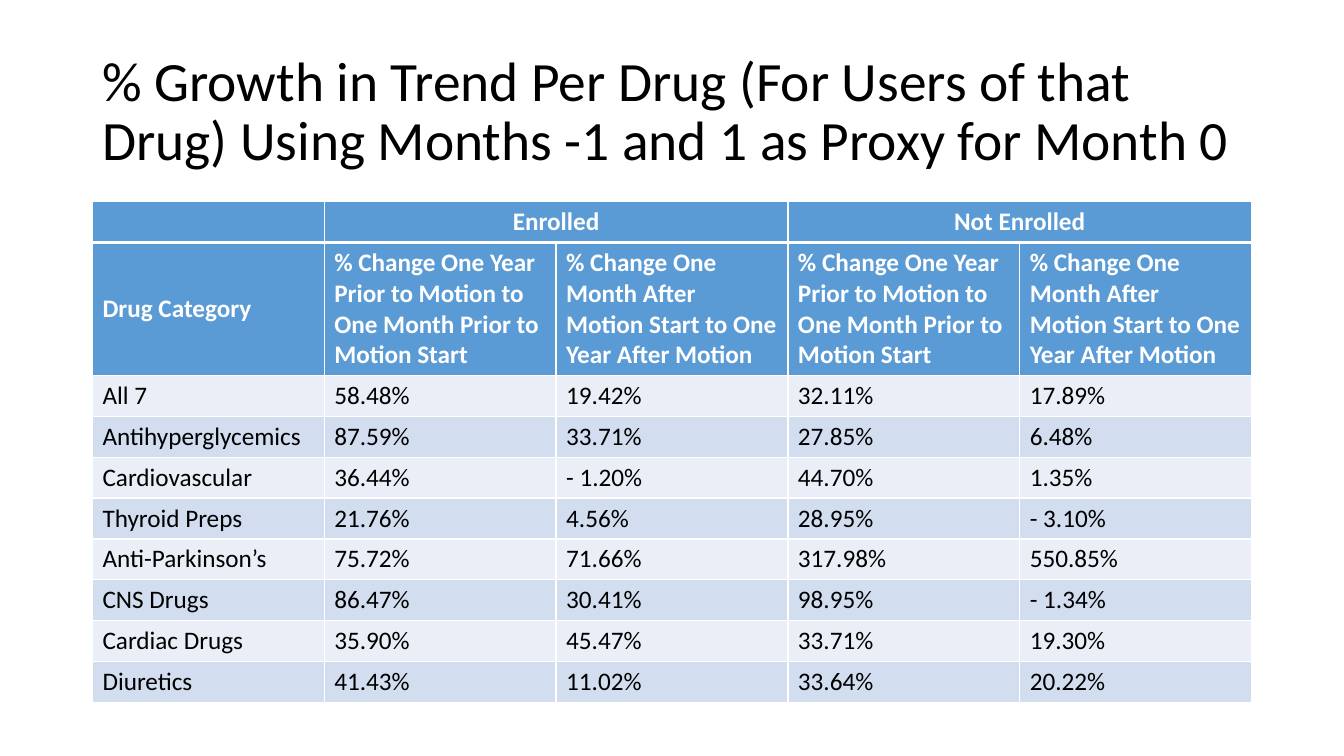
import pptx
import pptx.dml.color
import pptx.enum.text
import pptx.oxml
import pptx.oxml.ns
import pptx.util
from pptx.util import Cm

COLORS = {
    "text": "000000",
    "header": "5B9BD5",
    "header_text": "FFFFFF",
    "border": "FFFFFF",
    "light_band": "EAEFF7",
    "dark_band": "D2DEEF",
}
FONT = "Calibri"
ALIGN = pptx.enum.text.PP_ALIGN
ANCHOR = pptx.enum.text.MSO_ANCHOR

LEFT, WIDTH = 2.33, 29.21
ROW_HEIGHT, LABEL_ROW_HEIGHT = 1.03, 3.35

TITLE = ("% Growth in Trend Per Drug (For Users of that Drug) "
         "Using Months -1 and 1 as Proxy for Month 0")
GROUPS = ["Enrolled", "Not Enrolled"]
PERIODS = [
    "% Change One Year Prior to Motion to One Month Prior to Motion Start",
    "% Change One Month After Motion Start to One Year After Motion",
]
DRUGS = [
    ("All 7", "58.48%", "19.42%", "32.11%", "17.89%"),
    ("Antihyperglycemics", "87.59%", "33.71%", "27.85%", "6.48%"),
    ("Cardiovascular", "36.44%", "- 1.20%", "44.70%", "1.35%"),
    ("Thyroid Preps", "21.76%", "4.56%", "28.95%", "- 3.10%"),
    ("Anti-Parkinson’s", "75.72%", "71.66%", "317.98%", "550.85%"),
    ("CNS Drugs", "86.47%", "30.41%", "98.95%", "- 1.34%"),
    ("Cardiac Drugs", "35.90%", "45.47%", "33.71%", "19.30%"),
    ("Diuretics", "41.43%", "11.02%", "33.64%", "20.22%"),
]


def rgb(name):
    return pptx.dml.color.RGBColor.from_string(COLORS[name])


def apply_format(target, values):
    for name, value in values.items():
        setattr(target, name, value)


def write_text(frame, text, size, color, bold=False, **paragraph_format):
    paragraph = frame.paragraphs[0]
    apply_format(paragraph, paragraph_format)
    run = paragraph.add_run()
    run.text = text
    apply_format(run.font, {"name": FONT, "size": pptx.util.Pt(size), "bold": bold})
    run.font.color.rgb = rgb(color)


def set_borders(cell, top=1, bottom=1):
    properties = cell._tc.get_or_add_tcPr()
    for side, points in {"L": 1, "R": 1, "T": top, "B": bottom}.items():
        properties.append(pptx.oxml.parse_xml(
            f'<a:ln{side} {pptx.oxml.ns.nsdecls("a")} w="{pptx.util.Pt(points)}">'
            f'<a:solidFill><a:srgbClr val="{COLORS["border"]}"/></a:solidFill>'
            f'</a:ln{side}>'))


def add_title(slide):
    title = slide.shapes.add_textbox(Cm(LEFT), Cm(1.01), Cm(WIDTH), Cm(3.68))
    apply_format(title.text_frame,
                 {"word_wrap": True, "vertical_anchor": ANCHOR.MIDDLE})
    write_text(title.text_frame, TITLE, 39.6, "text", line_spacing=0.9)


def fill_cell(cell, text, fill, color, bold, top=1, bottom=1, **paragraph_format):
    set_borders(cell, top, bottom)
    cell.fill.solid()
    cell.fill.fore_color.rgb = rgb(fill)
    write_text(cell.text_frame, text, 18, color, bold, **paragraph_format)


def add_growth_table(slide):
    group_row = [""]
    for group in GROUPS:
        group_row += [group, ""]
    label_row = ["Drug Category"] + PERIODS * len(GROUPS)
    rows = [group_row, label_row, *DRUGS]
    heights = [ROW_HEIGHT, LABEL_ROW_HEIGHT] + [ROW_HEIGHT] * len(DRUGS)

    growth = slide.shapes.add_table(len(rows), len(label_row), Cm(LEFT), Cm(5.08),
                                    Cm(WIDTH), Cm(sum(heights))).table
    for row, height in zip(growth.rows, heights):
        row.height = Cm(height)

    # Header rows
    for column, group in enumerate(group_row):
        fill_cell(growth.cell(0, column), group, "header", "header_text", True,
                  bottom=3, alignment=ALIGN.CENTER)
    for column, label in enumerate(label_row):
        fill_cell(growth.cell(1, column), label, "header", "header_text", True, top=3)
    growth.cell(1, 0).vertical_anchor = ANCHOR.MIDDLE
    for first in range(1, len(label_row), len(PERIODS)):
        growth.cell(0, first).merge(growth.cell(0, first + len(PERIODS) - 1))

    # Banded drug rows
    for index, drug in enumerate(DRUGS):
        band = "dark_band" if index % 2 else "light_band"
        for column, text in enumerate(drug):
            fill_cell(growth.cell(index + 2, column), text, band, "text", False)


def main():
    presentation = pptx.Presentation()
    apply_format(presentation, {"slide_width": Cm(33.87), "slide_height": Cm(19.05)})
    slide = presentation.slides.add_slide(presentation.slide_layouts[6])
    add_title(slide)
    add_growth_table(slide)
    presentation.save("out.pptx")


if __name__ == "__main__":
    main()
